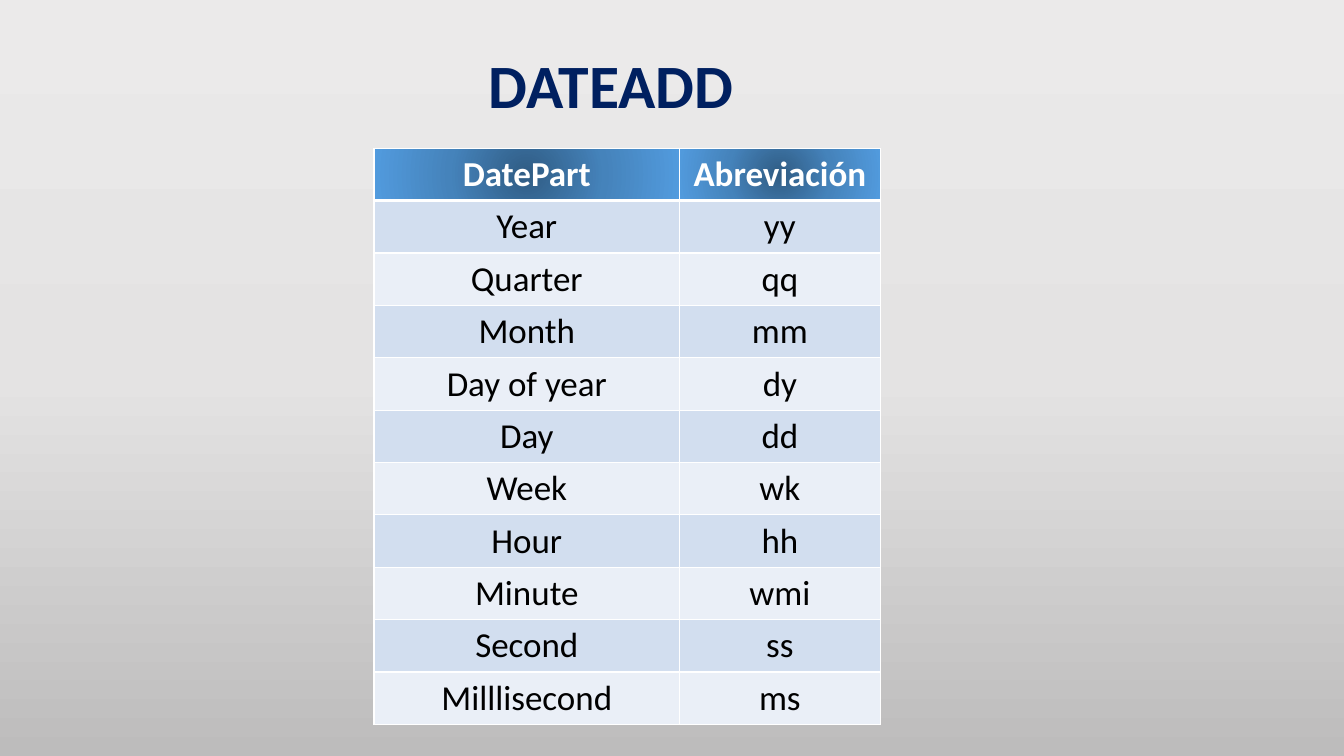
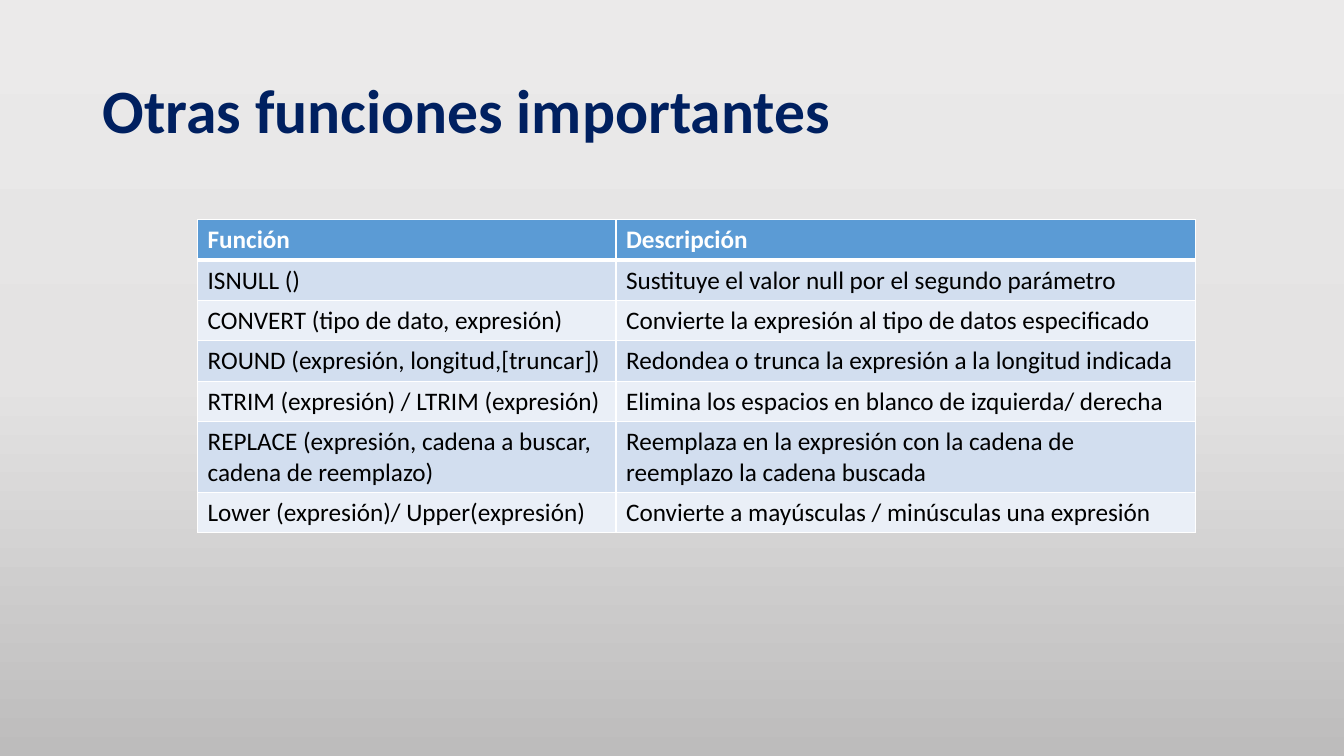
from dataclasses import dataclass

from pptx import Presentation
from pptx.dml.color import RGBColor as Rgb
from pptx.enum.text import MSO_ANCHOR as Anchor, PP_ALIGN as Align
from pptx.oxml import parse_xml
from pptx.oxml.ns import nsdecls
from pptx.slide import Slide
from pptx.table import _Cell as Cell
from pptx.util import Inches, Pt


@dataclass(frozen=True)
class Theme:
    font: str = "Calibri"
    navy: str = "002060"
    head: str = "5B9BD5"
    white: str = "FFFFFF"
    black: str = "000000"
    bands: tuple[str, ...] = ("D2DEEF", "EAEFF7")
    back: tuple[str, ...] = ("EBEAEA", "E4E3E3", "BDBCBC")
    glow: tuple[str, ...] = ("305C84", "4583BB", "529BDE")
    title: int = 44
    large: int = 25
    body: int = 18
    thin: int = 1
    thick: int = 3


@dataclass(frozen=True)
class Title:
    text: str
    left: float
    top: float
    width: float


@dataclass(frozen=True)
class Grid:
    left: float
    top: float
    cols: tuple[float, ...]
    heights: tuple[float, ...]
    size: int
    align: Align
    glow: bool
    rows: tuple[tuple[str, str], ...]


THEME = Theme()
LINEAR = '<a:lin ang="5400000" scaled="0"/>'
RADIAL = ('<a:path path="circle"><a:fillToRect l="50000" t="50000" '
          'r="50000" b="50000"/></a:path>')

# Slide content
PAGES: tuple[tuple[Title, Grid], ...] = (
    (
        Title("DATEADD", 4.75, 0.15, 6.19),
        Grid(3.71, 1.47, (3.03, 1.99), (0.52,) * 11, THEME.large,
             Align.CENTER, True, (
                 ("DatePart", "Abreviación"),
                 ("Year", "yy"),
                 ("Quarter", "qq"),
                 ("Month", "mm"),
                 ("Day of year", "dy"),
                 ("Day", "dd"),
                 ("Week", "wk"),
                 ("Hour", "hh"),
                 ("Minute", "wmi"),
                 ("Second", "ss"),
                 ("Milllisecond", "ms"),
             )),
    ),
    (
        Title("Otras funciones importantes", 0.92, 0.4, 11.5),
        Grid(1.96, 2.18, (4.15, 5.75), (0.4,) * 5 + (0.7, 0.4), THEME.body,
             Align.LEFT, False, (
                 ("Función", "Descripción"),
                 ("ISNULL ()",
                  "Sustituye el valor null por el segundo parámetro"),
                 ("CONVERT (tipo de dato, expresión)",
                  "Convierte la expresión al tipo de datos especificado"),
                 ("ROUND (expresión, longitud,[truncar])",
                  "Redondea o trunca la expresión a la longitud indicada"),
                 ("RTRIM (expresión) / LTRIM (expresión)",
                  "Elimina los espacios en blanco de izquierda/ derecha"),
                 ("REPLACE (expresión, cadena a buscar,\ncadena de reemplazo)",
                  "Reemplaza en la expresión con la cadena de reemplazo "
                  "la cadena buscada"),
                 ("Lower (expresión)/ Upper(expresión)",
                  "Convierte a mayúsculas / minúsculas una expresión"),
             )),
    ),
)


def set_font(para, size: int, color: str, bold: bool) -> None:
    font = para.font
    font.name, font.size, font.bold = THEME.font, Pt(size), bold
    font.color.rgb = Rgb.from_string(color)


def blend(fill, owner, colors: tuple[str, ...], shade: str) -> None:
    """Fill the owner with evenly spaced gradient stops."""
    fill.gradient()
    step = 100000 // (len(colors) - 1)
    stops = "".join(
        f'<a:gs pos="{i * step}"><a:srgbClr val="{color}"/></a:gs>'
        for i, color in enumerate(colors))
    old = owner.xpath(".//a:gradFill")[0]
    old.getparent().replace(old, parse_xml(
        f'<a:gradFill {nsdecls("a")} rotWithShape="1">'
        f'<a:gsLst>{stops}</a:gsLst>{shade}</a:gradFill>'))


def add_edges(cell: Cell, base: int) -> None:
    """Draw white borders; they precede the fill in the cell's XML."""
    props = cell._tc.get_or_add_tcPr()
    widths = {"L": THEME.thin, "R": THEME.thin, "T": THEME.thin, "B": base}
    for i, (side, width) in enumerate(widths.items()):
        props.insert(i, parse_xml(
            f'<a:ln{side} {nsdecls("a")} w="{Pt(width)}"><a:solidFill>'
            f'<a:srgbClr val="{THEME.white}"/></a:solidFill></a:ln{side}>'))


def add_title(slide: Slide, title: Title) -> None:
    box = slide.shapes.add_textbox(Inches(title.left), Inches(title.top),
                                   Inches(title.width), Inches(1.45))
    frame = box.text_frame
    frame.word_wrap = True
    frame.vertical_anchor = Anchor.MIDDLE
    frame.text = title.text
    para = frame.paragraphs[0]
    para.line_spacing = 0.9
    set_font(para, THEME.title, THEME.navy, True)


def fill_cell(cell: Cell, text: str, row: int, grid: Grid) -> None:
    head = row == 0
    cell.text = text
    for para in cell.text_frame.paragraphs:
        para.alignment = grid.align
        set_font(para, grid.size, THEME.white if head else THEME.black, head)
    if head and grid.glow:
        blend(cell.fill, cell._tc, THEME.glow, RADIAL)
    else:
        color = THEME.head if head else THEME.bands[(row - 1) % 2]
        cell.fill.solid()
        cell.fill.fore_color.rgb = Rgb.from_string(color)
    add_edges(cell, THEME.thick if head else THEME.thin)
    if row == 1:  # keep the heavy rule under the header
        cell._tc.tcPr.xpath("./a:lnT")[0].set("w", str(Pt(THEME.thick)))


def add_grid(slide: Slide, grid: Grid) -> None:
    table = slide.shapes.add_table(
        len(grid.rows), len(grid.cols), Inches(grid.left), Inches(grid.top),
        Inches(sum(grid.cols)), Inches(sum(grid.heights))).table
    table.horz_banding = False
    for col, width in zip(table.columns, grid.cols):
        col.width = Inches(width)
    for r, texts in enumerate(grid.rows):
        table.rows[r].height = Inches(grid.heights[r])
        for c, text in enumerate(texts):
            fill_cell(table.cell(r, c), text, r, grid)


def main() -> None:
    deck = Presentation()
    deck.slide_width, deck.slide_height = Inches(13.33), Inches(7.5)
    for title, grid in PAGES:
        slide = deck.slides.add_slide(deck.slide_layouts[6])
        blend(slide.background.fill, slide.element, THEME.back, LINEAR)
        add_title(slide, title)
        add_grid(slide, grid)
    deck.save("out.pptx")


if __name__ == "__main__":
    main()
